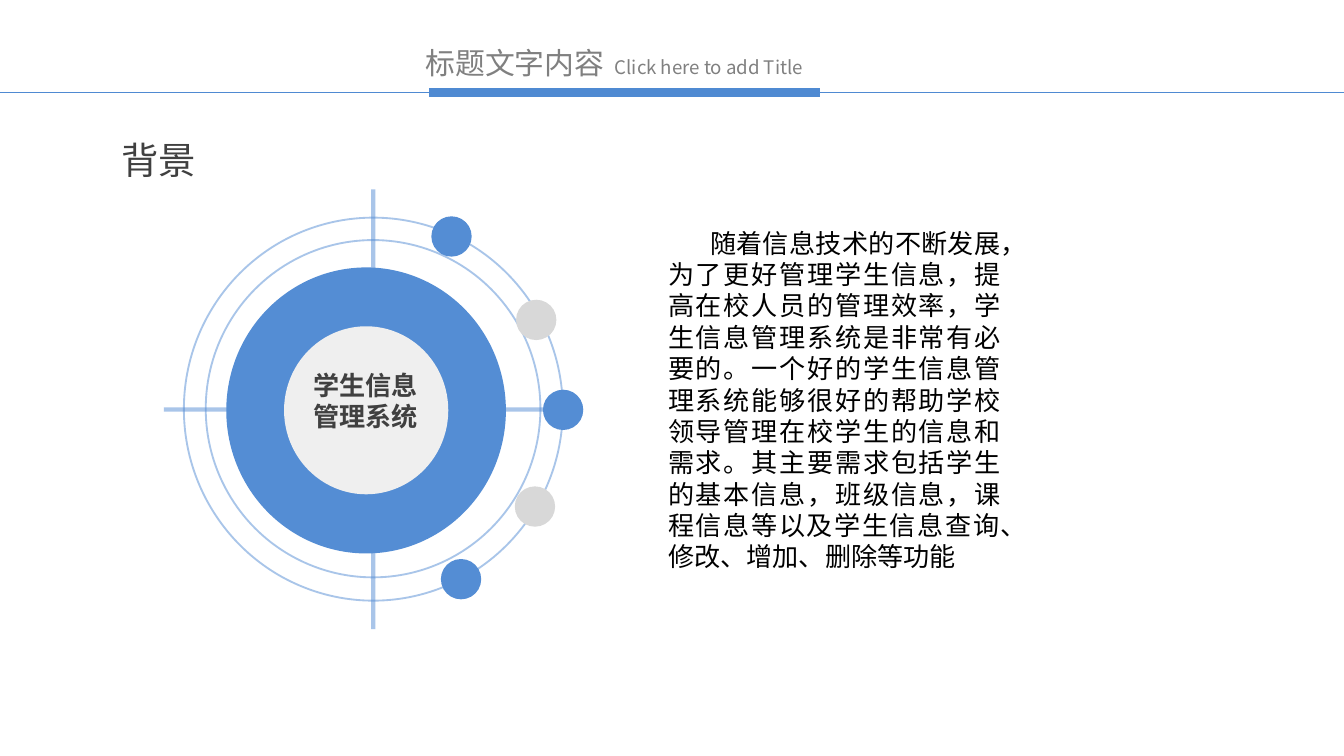
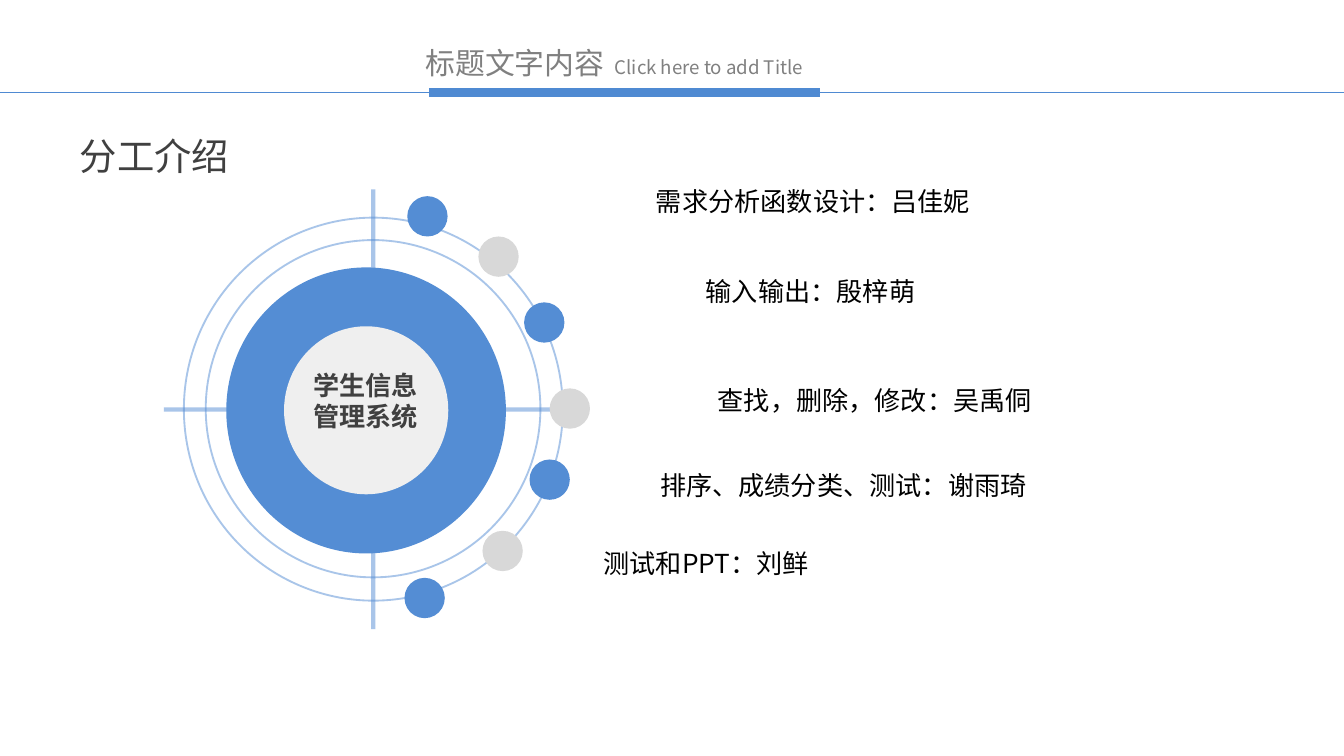
from lxml import etree
from pptx import Presentation
from pptx.dml.color import RGBColor
from pptx.enum.shapes import MSO_CONNECTOR, MSO_SHAPE
from pptx.enum.text import MSO_ANCHOR, MSO_AUTO_SIZE, PP_ALIGN
from pptx.oxml.ns import qn
from pptx.util import Pt

OVAL = MSO_SHAPE.OVAL
STRAIGHT = MSO_CONNECTOR.STRAIGHT
LEFT, CENTER, JUSTIFY = PP_ALIGN.LEFT, PP_ALIGN.CENTER, PP_ALIGN.JUSTIFY

FONT = "Noto Sans CJK SC"
BAND, BLUE, GRAY, PALE = "4F8AD2", "548DD4", "D8D8D8", "EFEFEF"
HEADER, DARK, BLACK = "808080", "404040", "000000"
TIGHT = (5.1, 2.8)
LOOSE = (7.2, 3.6)
DOT = 21.6

BACKGROUND = (
    "随着信息技术的不断发展，为了更好管理学生信息，提高在校人员的管理效率，"
    "学生信息管理系统是非常有必要的。一个好的学生信息管理系统能够很好的帮助"
    "学校领导管理在校学生的信息和需求。其主要需求包括学生的基本信息，班级信息，"
    "课程信息等以及学生信息查询、修改、增加、删除等功能"
)
BACKGROUND_DOTS = [(231.1, 115.9), (276.5, 160.6), (290.9, 208.8),
                   (275.8, 260.6), (236.2, 299.5)]
TASK_DOTS = [(218.2, 105.1), (256.3, 126.7), (280.8, 162), (294.5, 208.1),
             (283.7, 246.2), (258.5, 284.4), (216.7, 309.6)]
TASKS = [
    ("需求分析函数设计：吕佳妮", 346.3, 96.5, 243.4),
    ("输入输出：殷梓萌", 373, 144.7, 162),
    ("查找，删除，修改：吴禹侗", 379.4, 203, 195.8),
    ("排序、成绩分类、测试：谢雨琦", 348.5, 248.4, 288.7),
    ("测试和PPT：刘鲜", 318.2, 290.2, 162),
]


def rgb(value):
    return RGBColor.from_string(value)


def place(sp, box):
    sp.left, sp.top, sp.width, sp.height = (Pt(v) for v in box)


def write(sp, text, size, color, align=LEFT, bold=False, wrap=True, margins=TIGHT):
    tf = sp.text_frame
    tf.word_wrap = wrap
    tf.auto_size = MSO_AUTO_SIZE.NONE
    tf.vertical_anchor = MSO_ANCHOR.TOP
    tf.margin_left = tf.margin_right = Pt(margins[0])
    tf.margin_top = tf.margin_bottom = Pt(margins[1])
    p = tf.paragraphs[0]
    p.alignment = align
    p.space_before = Pt(0)
    r = p.add_run()
    r.text = text
    r.font.name = FONT
    r.font.size = Pt(size)
    r.font.bold = bold
    r.font.color.rgb = rgb(color)
    ea = etree.SubElement(r.font._element, qn("a:ea"))
    ea.set("typeface", FONT)
    return p


def add_text(slide, box, *args, **kwargs):
    sp = slide.shapes.add_textbox(*(Pt(v) for v in box))
    write(sp, *args, **kwargs)


def style_line(sp, color, width, alpha):
    sp.line.color.rgb = rgb(color)
    sp.line.width = Pt(width)
    if alpha < 100:
        clr = sp._element.spPr.find(f"{qn('a:ln')}//{qn('a:srgbClr')}")
        etree.SubElement(clr, qn("a:alpha")).set("val", str(alpha * 1000))


def add_line(slide, ends, color, width, alpha=100):
    sp = slide.shapes.add_connector(STRAIGHT, *(Pt(v) for v in ends))
    style_line(sp, color, width, alpha)
    etree.SubElement(sp._element.spPr, qn("a:effectLst"))


def add_circle(slide, box, fill):
    sp = slide.shapes.add_shape(OVAL, *(Pt(v) for v in box))
    sp.shadow.inherit = False
    sp.fill.solid()
    sp.fill.fore_color.rgb = rgb(fill)
    sp.line.fill.background()


def add_ring(slide, box):
    sp = slide.shapes.add_shape(OVAL, *(Pt(v) for v in box))
    sp.shadow.inherit = False
    sp.fill.background()
    style_line(sp, BLUE, 1, 50)


def add_header(slide):
    add_text(slide, (221, 20.2, 119.5, 26.6), "标题文字内容", 16, HEADER,
             wrap=False, margins=LOOSE)
    add_text(slide, (322.3, 26.6, 122, 19.4), "Click here to add Title", 10, HEADER,
             wrap=False, margins=LOOSE)
    add_line(slide, (0, 49.7, 720, 49.7), BAND, 0.75)
    add_line(slide, (229.7, 49.7, 439.2, 49.7), BAND, 5)


def add_target(slide, dots):
    add_line(slide, (87.8, 219.4, 311.8, 219.4), BLUE, 2.25, 50)
    add_line(slide, (200, 101.5, 200, 337), BLUE, 2.25, 50)
    add_ring(slide, (110.2, 128.6, 179.3, 180.7))
    add_ring(slide, (98.5, 116.6, 203, 205.2))
    add_circle(slide, (121.2, 143.3, 149.8, 153.2), BLUE)
    add_circle(slide, (152.2, 174.8, 88, 90), PALE)
    for i, (x, y) in enumerate(dots):
        add_circle(slide, (x, y, DOT, DOT), GRAY if i % 2 else BLUE)
    add_text(slide, (160.6, 195.1, 70.6, 39.6), "学生信息管理系统", 14, DARK,
             align=CENTER, bold=True)


def add_slide(prs, layout, title, title_box, dots):
    slide = prs.slides.add_slide(prs.slide_layouts[layout])
    place(slide.shapes.title, title_box)
    write(slide.shapes.title, title, 20, DARK, align=CENTER, wrap=False, margins=LOOSE)
    add_header(slide)
    add_target(slide, dots)
    return slide


def add_body(slide, box, text, indent):
    sp = slide.placeholders[1]
    place(sp, box)
    p = write(sp, text, 14, BLACK, align=JUSTIFY)
    pPr = p._p.get_or_add_pPr()
    pPr.set("marL", "0")
    pPr.set("indent", str(Pt(indent)))
    etree.SubElement(pPr, qn("a:buNone"))


def main():
    prs = Presentation()
    prs.slide_width, prs.slide_height = Pt(720), Pt(405)

    slide = add_slide(prs, 1, "背景", (57.6, 69.8, 54.7, 31.7), BACKGROUND_DOTS)
    add_body(slide, (352.8, 118.8, 188.6, 208.8), BACKGROUND, 22.5)

    slide = add_slide(prs, 5, "分工介绍", (35.3, 67.7, 95, 31.7), TASK_DOTS)
    for text, x, y, width in TASKS:
        add_text(slide, (x, y, width, 22.3), text, 14, BLACK)

    prs.save("out.pptx")


if __name__ == "__main__":
    main()
